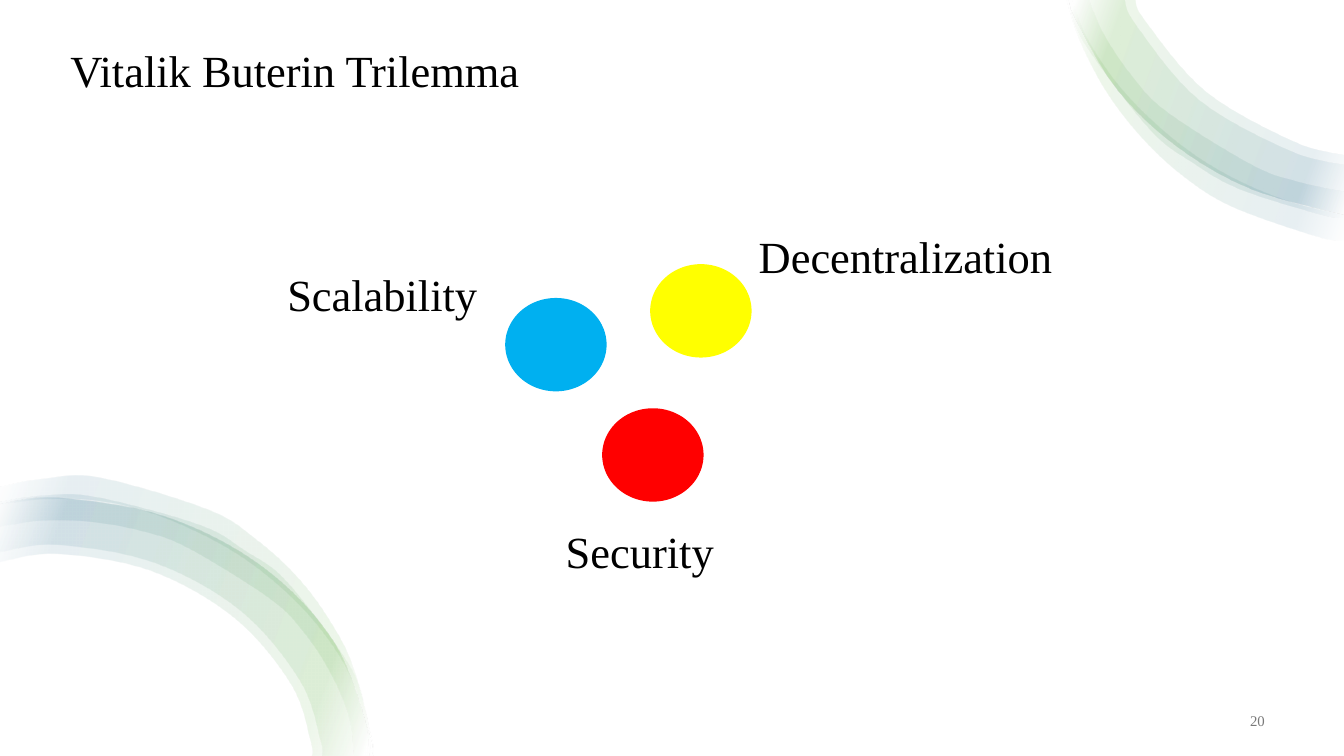
"""Build the trilemma slide: three coloured circles with labels between two ribbon corners."""
from typing import NamedTuple

from lxml.etree import SubElement
from pptx import Presentation
from pptx.dml.color import RGBColor
from pptx.enum.shapes import MSO_SHAPE as SHAPE
from pptx.enum.text import MSO_ANCHOR as ANCHOR, MSO_AUTO_SIZE as AUTO, PP_ALIGN as ALIGN
from pptx.oxml.ns import qn
from pptx.util import Inches, Pt

BLACK = RGBColor(0x00, 0x00, 0x00)
GREY = RGBColor(0x79, 0x79, 0x79)
YELLOW = RGBColor(0xFF, 0xFF, 0x00)
BLUE = RGBColor(0x00, 0xB0, 0xF0)
RED = RGBColor(0xFF, 0x00, 0x00)
WHITE = RGBColor(0xFF, 0xFF, 0xFF)
GREEN = RGBColor(0x4E, 0xA7, 0x2E)
TEAL = RGBColor(0x15, 0x60, 0x82)

FONT = "Times New Roman"
RIBBON_STOPS = ((2, WHITE), (16, GREEN), (85, TEAL), (100, WHITE))
RIBBON_OPACITY = 10
CURVE_STEPS = 8
CIRCLE_W, CIRCLE_H = 1.14, 1.05

Points = list[tuple[float, float]]


class Band(NamedTuple):
    outer: Points
    inner: Points


class Ribbon(NamedTuple):
    angle: int
    bands: list[Band]


class Corner(NamedTuple):
    name: str
    color: RGBColor
    circle: tuple[float, float]
    label: tuple[float, float, float]


TOP_EDGE = [(12.02, 0), (12.09, 0.22), (12.55, 1), (13.22, 1.64), (14.06, 2.12), (15.11, 2.41)]
BOTTOM_EDGE = [(4.17, 8.5), (4.15, 8.27), (3.75, 7.22), (2.94, 6.37), (1.85, 5.81),
               (0.64, 5.6), (0, 5.67)]

RIBBONS = [
    Ribbon(20, [
        Band([(11.99, 0), (12.14, 0.46), (12.43, 1.02), (12.82, 1.53), (13.29, 1.97),
              (13.85, 2.32), (14.79, 2.65), (15.11, 2.7)],
             [(15.11, 2.41), (14.56, 2.28), (13.99, 2.06), (13.46, 1.76), (12.98, 1.38),
              (12.56, 0.94), (12.22, 0.43), (12.05, 0)]),
        Band(TOP_EDGE,
             [(15.11, 1.74), (14.54, 1.59), (13.55, 1.03), (12.87, 0.24), (12.76, 0)]),
        Band([(12.01, 0), (12.19, 0.49), (12.92, 1.45), (13.41, 1.83), (13.95, 2.13),
              (14.85, 2.41), (15.11, 2.45)],
             [(15.11, 2.15), (14.63, 2.05), (14.09, 1.86), (13.12, 1.26), (12.72, 0.85),
              (12.41, 0.39), (12.24, 0)]),
        Band(TOP_EDGE,
             [(15.11, 1.85), (14.49, 1.69), (13.47, 1.12), (12.77, 0.29), (12.64, 0)]),
    ]),
    Ribbon(200, [
        Band(BOTTOM_EDGE,
             [(0, 6.32), (0.64, 6.23), (1.69, 6.42), (2.63, 6.95), (3.27, 7.7),
              (3.49, 8.35), (3.5, 8.5)]),
        Band(BOTTOM_EDGE,
             [(0, 6.21), (0.64, 6.13), (1.73, 6.33), (2.7, 6.87), (3.37, 7.66),
              (3.6, 8.34), (3.61, 8.5)]),
        Band([(4.17, 8.5), (4.11, 8), (3.92, 7.47), (3.23, 6.55), (2.76, 6.2), (2.25, 5.91),
              (1.1, 5.6), (0.5, 5.58), (0, 5.65)],
             [(0, 5.93), (0.51, 5.86), (1.06, 5.88), (1.6, 5.98), (2.12, 6.17), (3.04, 6.74),
              (3.42, 7.12), (3.71, 7.56), (3.92, 8.05), (3.98, 8.5)]),
        Band([(4.19, 8.5), (4.18, 8.34), (3.96, 7.49), (3.69, 6.96), (3.33, 6.48),
              (2.87, 6.06), (2.34, 5.73), (1.13, 5.37), (0.49, 5.38), (0, 5.47)],
             [(0, 5.67), (0.51, 5.61), (1.1, 5.63), (1.67, 5.76), (2.21, 5.98), (2.71, 6.26),
              (3.17, 6.62), (3.57, 7.04), (3.89, 7.52), (4.09, 8.06), (4.15, 8.5)]),
    ]),
]

CORNERS = [
    Corner("Decentralization", YELLOW, (7.31, 2.97), (8.53, 2.56, 3.57)),
    Corner("Scalability", BLUE, (5.68, 3.35), (3.23, 2.98, 2.23)),
    Corner("Security", RED, (6.77, 4.59), (6.36, 5.87, 1.78)),
]


def smooth(points: Points) -> Points:
    """Return points along a Catmull-Rom curve through the given points."""
    padded = [points[0], *points, points[-1]]
    curve = [points[0]]
    for a, b, c, d in zip(padded, padded[1:], padded[2:], padded[3:]):
        for step in range(1, CURVE_STEPS + 1):
            t = step / CURVE_STEPS
            x, y = (q + t * (r - p) / 2 + t * t * (2 * p - 5 * q + 4 * r - s) / 2
                    + t ** 3 * (3 * q - p - 3 * r + s) / 2
                    for p, q, r, s in zip(a, b, c, d))
            curve.append((x, y))
    return curve


def fill_ribbon(sp, angle: int) -> None:
    """Give a band its translucent gradient."""
    sp.fill.background()
    no_fill = sp._element.spPr.find(qn("a:noFill"))
    grad = no_fill.makeelement(qn("a:gradFill"), {"rotWithShape": "1"})
    stops = SubElement(grad, qn("a:gsLst"))
    for position, color in RIBBON_STOPS:
        stop = SubElement(stops, qn("a:gs"), pos=str(position * 1000))
        rgb = SubElement(stop, qn("a:srgbClr"), val=str(color))
        SubElement(rgb, qn("a:alpha"), val=str(RIBBON_OPACITY * 1000))
    SubElement(grad, qn("a:lin"), ang=str(angle * 60000), scaled="0")
    no_fill.getparent().replace(no_fill, grad)


def add_band(slide, band: Band, angle: int) -> None:
    """Draw one band of a ribbon."""
    start, *rest = [(Inches(x), Inches(y)) for x, y in smooth(band.outer) + smooth(band.inner)]
    builder = slide.shapes.build_freeform(*start)
    builder.add_line_segments(rest, close=True)
    sp = builder.convert_to_shape()
    sp.shadow.inherit = False
    sp.line.fill.background()
    fill_ribbon(sp, angle)


def set_text(sp, text: str, size: int = 36, color: RGBColor = BLACK,
             align: ALIGN = ALIGN.LEFT, anchor: ANCHOR = ANCHOR.TOP, top: float = 0.02) -> None:
    """Write one formatted line into a shape."""
    tf = sp.text_frame
    tf.word_wrap = True
    tf.auto_size = AUTO.NONE
    tf.vertical_anchor = anchor
    tf.margin_left = tf.margin_right = tf.margin_bottom = 0
    tf.margin_top = Inches(top)
    p = tf.paragraphs[0]
    p.text = text
    p.alignment = align
    p.font.name = FONT
    p.font.size = Pt(size)
    p.font.color.rgb = color


def add_corner(slide, corner: Corner) -> None:
    """Draw a circle and its label."""
    x, y = corner.circle
    sp = slide.shapes.add_shape(SHAPE.OVAL, Inches(x), Inches(y), Inches(CIRCLE_W), Inches(CIRCLE_H))
    sp.shadow.inherit = False
    sp.fill.solid()
    sp.fill.fore_color.rgb = corner.color
    sp.line.fill.background()
    left, top, width = corner.label
    label = slide.shapes.add_textbox(Inches(left), Inches(top), Inches(width), Inches(0.62))
    set_text(label, corner.name)


def main() -> None:
    """Build and save the slide."""
    prs = Presentation()
    prs.slide_width, prs.slide_height = Inches(15.11), Inches(8.5)
    slide = prs.slides.add_slide(prs.slide_layouts[5])

    for ribbon in RIBBONS:
        for band in ribbon.bands:
            add_band(slide, band, ribbon.angle)

    title = slide.shapes.title
    title.left, title.top = Inches(0.79), Inches(0.46)
    title.width, title.height = Inches(6.74), Inches(0.62)
    set_text(title, "Vitalik Buterin Trilemma")

    for corner in CORNERS:
        add_corner(slide, corner)

    number = slide.shapes.add_textbox(Inches(11.22), Inches(8), Inches(3), Inches(0.21))
    set_text(number, "20", 12, GREY, ALIGN.RIGHT, ANCHOR.MIDDLE, 0)

    prs.save("out.pptx")


if __name__ == "__main__":
    main()
